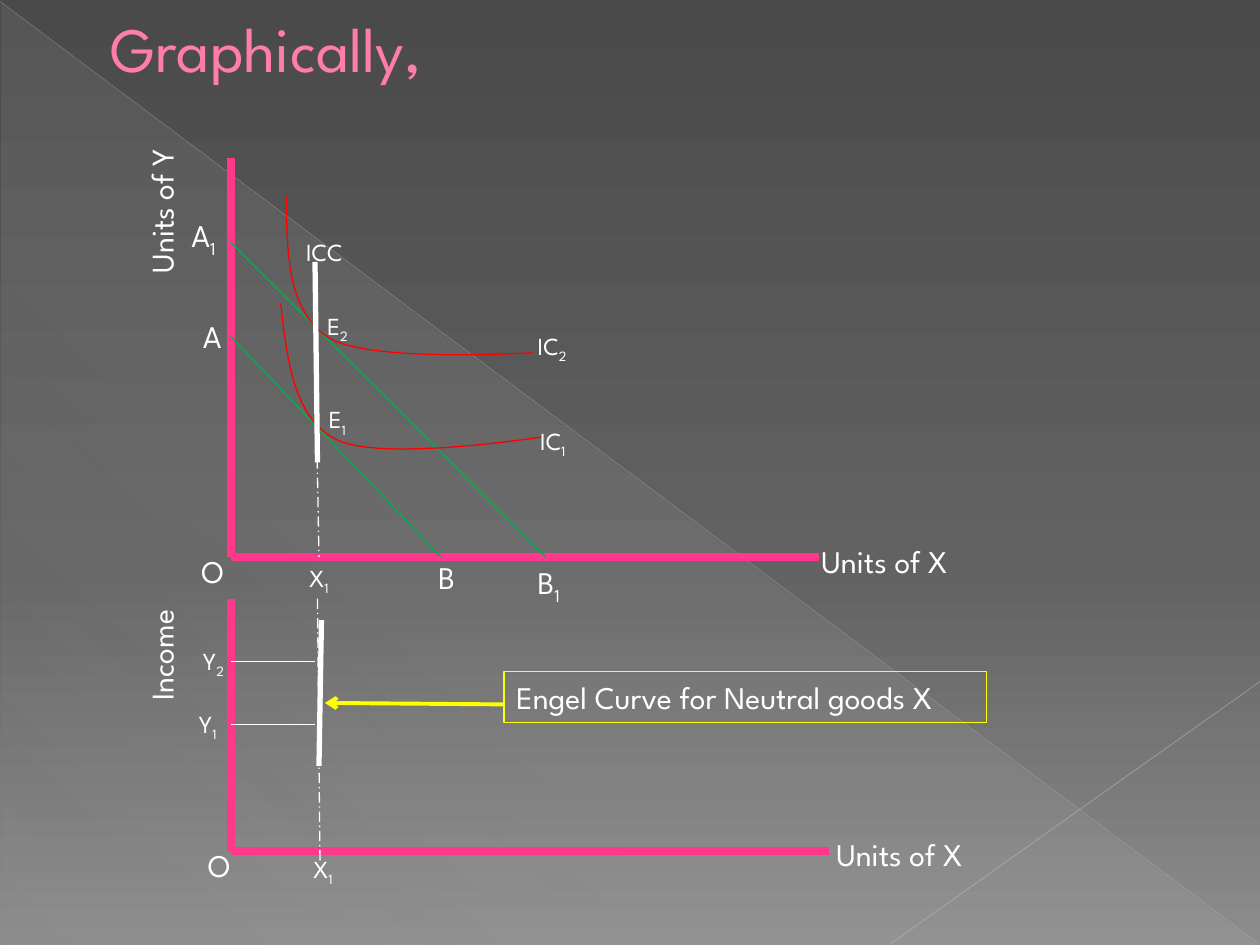
import pptx
import pptx.dml.color
import pptx.enum.dml
import pptx.enum.shapes
import pptx.enum.text
import pptx.oxml
import pptx.oxml.ns
import pptx.util
from dataclasses import dataclass
from pptx.util import Cm

qn = pptx.oxml.ns.qn
SubElement = pptx.oxml.xmlchemy.OxmlElement


@dataclass(frozen=True)
class Theme:
    font: str = "League Spartan"
    title: str = "FF7DA7"
    axis: str = "FF388C"
    budget: str = "00B050"
    indifference: str = "FF0000"
    callout: str = "FFFF00"
    white: str = "FFFFFF"
    title_size: int = 36
    large: int = 18
    small: int = 14


theme = Theme()


def draw_line(start, end, color, width, dash=None, opacity=None):
    line = page.shapes.add_connector(
        pptx.enum.shapes.MSO_CONNECTOR.STRAIGHT, *[Cm(v) for v in (*start, *end)])
    line.line.color.rgb = pptx.dml.color.RGBColor.from_string(color)
    line.line.width = pptx.util.Pt(width)
    if dash:
        line.line.dash_style = dash
    if opacity:
        alpha = SubElement("a:alpha")
        alpha.set("val", str(opacity * 1000))
        line.element.find(".//" + qn("a:srgbClr")).append(alpha)
    line.element.spPr.append(SubElement("a:effectLst"))
    return line


def write(box, text, size, color=theme.white, subscript="", wrap=False):
    frame = box.text_frame
    frame.word_wrap = wrap
    para = frame.paragraphs[0]
    para.alignment = pptx.enum.text.PP_ALIGN.LEFT
    para.text = text
    if subscript:
        para.add_run().text = subscript
    for span in para.runs:
        span.font.name = theme.font
        span.font.size = pptx.util.Pt(size)
        span.font.color.rgb = pptx.dml.color.RGBColor.from_string(color)
    if subscript:
        box.element.findall(".//" + qn("a:rPr"))[-1].set("baseline", "-25000")


deck = pptx.Presentation()
deck.slide_width, deck.slide_height = Cm(25.4), Cm(19.05)
page = deck.slides.add_slide(deck.slide_layouts[6])

# Background: page gradient, translucent triangle and two hairlines
triangle = page.shapes.add_shape(
    pptx.enum.shapes.MSO_SHAPE.RIGHT_TRIANGLE, Cm(0.03), Cm(0.05), Cm(25.35), Cm(19))
triangle.shadow.inherit = False
triangle.line.fill.background()
gradients = [
    (page.background.fill, page.element.cSld.find(qn("p:bg")), 90,
     [(0, "4A4A4A", 100), (60, "626262", 100), (100, "8C8C8C", 100)]),
    (triangle.fill, triangle.element, 133,
     [(0, "D2D2D2", 10), (70, "D2D2D2", 8), (100, "D2D2D2", 1)]),
]
for fill, owner, angle, stops in gradients:
    fill.gradient()
    owner = page.element.cSld.find(qn("p:bg")) if owner is None else owner
    gradient = owner.find(".//" + qn("a:gradFill"))
    gradient.find(qn("a:lin")).set("ang", str(angle * 60000))
    stop_list = gradient.find(qn("a:gsLst"))
    for old_stop in list(stop_list):
        stop_list.remove(old_stop)
    for position, color, opacity in stops:
        stop, shade, alpha = [SubElement(tag) for tag in ("a:gs", "a:srgbClr", "a:alpha")]
        stop.set("pos", str(position * 1000))
        shade.set("val", color)
        alpha.set("val", str(opacity * 1000))
        shade.append(alpha)
        stop.append(shade)
        stop_list.append(stop)
draw_line((0, 0.03), (25.37, 19.02), "BFBFBF", 0.39, opacity=35)
draw_line((25.4, 13.74), (17.96, 19.02), "C6C6C6", 0.47, opacity=45)

# Title
title = page.shapes.add_textbox(Cm(1.98), Cm(-0.64), Cm(19.41), Cm(3.18))
title.text_frame.vertical_anchor = pptx.enum.text.MSO_ANCHOR.MIDDLE
write(title, "Graphically,", theme.title_size, theme.title, wrap=True)

# Axes of the upper and lower diagrams
axis_x = 4.65
for top, base, right in [(3.18, 11.23, 16.51), (12.07, 17.15, 16.71)]:
    draw_line((axis_x, top), (axis_x, base), theme.axis, 4.5)
    draw_line((axis_x, base), (right, base), theme.axis, 4.5)

# Budget lines
for top, right in [(6.78, 8.89), (4.88, 11)]:
    draw_line((axis_x, top), (right, 11.23), theme.budget, 0.75)

# Indifference curves: two cubic segments each, sampled evenly
curves = [
    [(5.66, 6.12), (5.79, 7.26), (5.92, 8.43), (6.78, 8.86),
     (7.67, 9.32), (10.92, 8.81), (10.92, 8.81)],
    [(5.77, 3.96), (5.79, 5.13), (5.79, 6.27), (6.63, 6.81),
     (7.47, 7.32), (10.74, 7.11), (10.74, 7.11)],
]
steps = 24
for knots in curves:
    points = []
    for first in (0, 3):
        for step in range(1, steps + 1):
            t = step / steps
            weights = ((1 - t) ** 3, 3 * t * (1 - t) ** 2, 3 * t * t * (1 - t), t ** 3)
            points.append([Cm(sum(w * knot[axis] for w, knot in
                                  zip(weights, knots[first:first + 4]))) for axis in (0, 1)])
    builder = page.shapes.build_freeform(*[Cm(v) for v in knots[0]])
    builder.add_line_segments(points, close=False)
    curve = builder.convert_to_shape()
    curve.shadow.inherit = False
    curve.fill.background()
    curve.line.color.rgb = pptx.dml.color.RGBColor.from_string(theme.indifference)
    curve.line.width = pptx.util.Pt(0.75)

# Income consumption curve, Engel curve and their guides
guide = pptx.enum.dml.MSO_LINE.LONG_DASH_DOT
draw_line((6.4, 9.32), (6.35, 5.28), theme.white, 3)
draw_line((6.38, 8.46), (6.43, 11.23), theme.white, 0.75, guide)
draw_line((6.4, 12.07), (6.45, 17.35), theme.white, 0.75, guide)
for income in (14.6, 13.34):
    draw_line((axis_x, income), (6.35, income), theme.white, 0.75)
draw_line((6.43, 15.44), (6.48, 12.5), theme.white, 3)

# Callout and its arrow
arrow = draw_line((10.16, 14.2), (6.55, 14.17), theme.callout, 2.25)
head = SubElement("a:tailEnd")
head.set("type", "arrow")
arrow.element.find(".//" + qn("a:ln")).append(head)
callout = page.shapes.add_shape(
    pptx.enum.shapes.MSO_SHAPE.RECTANGLE, Cm(10.16), Cm(13.54), Cm(9.73), Cm(1.02))
callout.shadow.inherit = False
callout.fill.background()
callout.line.color.rgb = pptx.dml.color.RGBColor.from_string(theme.callout)
callout.line.width = pptx.util.Pt(0.75)
callout.text_frame.vertical_anchor = pptx.enum.text.MSO_ANCHOR.TOP
write(callout, "Engel Curve for Neutral goods X", theme.large, wrap=True)

# Labels: text, subscript, left, top, width
labels = {
    theme.large: [
        ("O", "", 3.81, 11, 1.02), ("O", "", 3.94, 16.94, 1.02),
        ("Units of X", "", 16.31, 10.8, 3.3), ("Units of X", "", 16.61, 16.71, 3.3),
        ("A", "", 3.84, 6.27, 0.94), ("B", "", 8.59, 11.13, 0.94),
        ("A", "1", 3.61, 4.24, 1.17), ("B", "1", 10.59, 11.23, 1.17),
    ],
    theme.small: [
        ("IC", "1", 10.64, 8.46, 1.19), ("IC", "2", 10.59, 6.55, 1.19),
        ("E", "1", 6.38, 8.03, 1.04), ("E", "2", 6.35, 6.15, 1.04),
        ("ICC", "", 5.92, 4.65, 1.37),
        ("X", "1", 5.99, 11.23, 1.04), ("X", "1", 6.07, 17.09, 1.04),
        ("Y", "1", 3.76, 14.17, 1.04), ("Y", "2", 3.84, 12.9, 1.04),
    ],
}
heights = {theme.large: 1.02, theme.small: 0.86}
for size, entries in labels.items():
    for text, subscript, left, top, width in entries:
        box = page.shapes.add_textbox(Cm(left), Cm(top), Cm(width), Cm(heights[size]))
        write(box, text, size, subscript=subscript)

# Upright axis names
for text, top, height in [("Units of Y", 2.74, 3.02), ("Income", 12.01, 2.36)]:
    box = page.shapes.add_textbox(Cm(2.74), Cm(top), Cm(1.27), Cm(height))
    write(box, text, theme.large)
    box.element.find(".//" + qn("a:bodyPr")).set("vert", "vert270")

deck.save("out.pptx")
